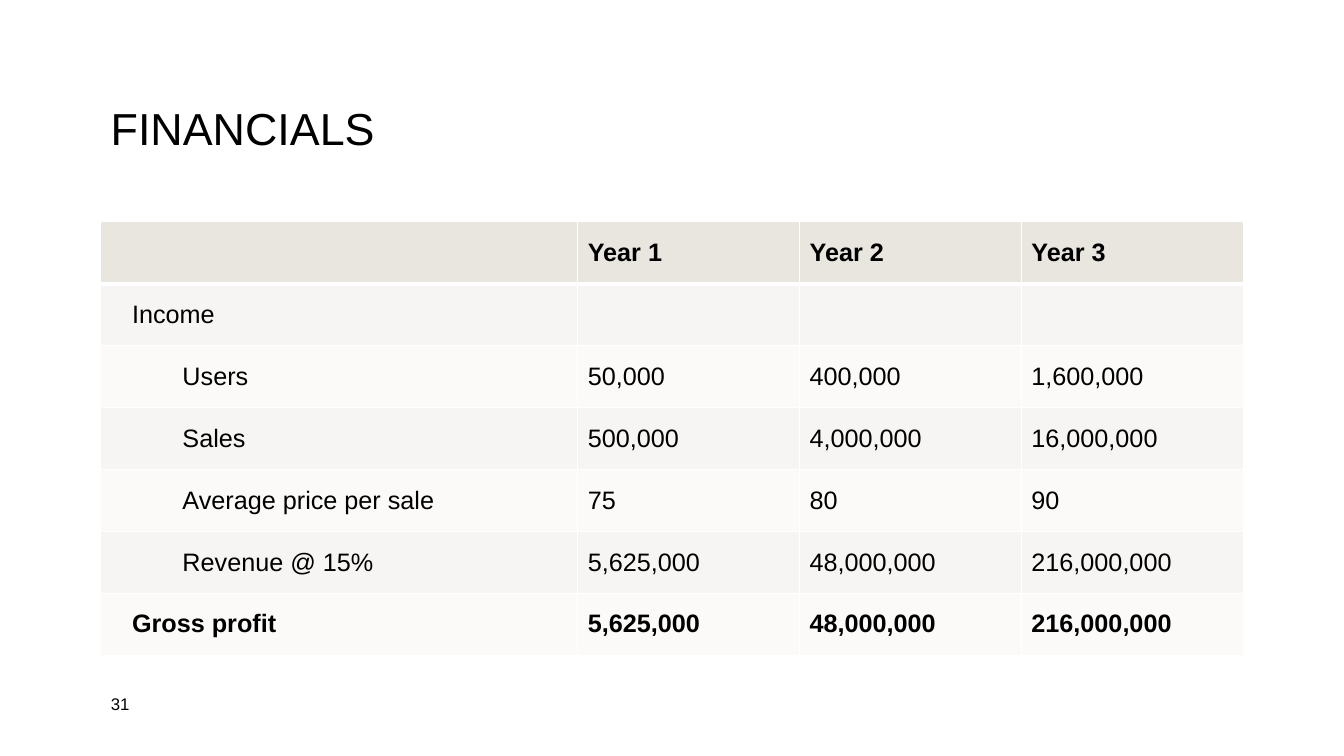
import dataclasses

import lxml.etree
import pptx
import pptx.dml.color
import pptx.enum.text
import pptx.oxml.ns
import pptx.util

WIDE, HIGH = 13.33, 7.5

ROWS = [
    ("", "Year 1", "Year 2", "Year 3"),
    ("Income", "", "", ""),
    ("Users", "50,000", "400,000", "1,600,000"),
    ("Sales", "500,000", "4,000,000", "16,000,000"),
    ("Average price per sale", "75", "80", "90"),
    ("Revenue @ 15%", "5,625,000", "48,000,000", "216,000,000"),
    ("Gross profit", "5,625,000", "48,000,000", "216,000,000"),
]
COLS = (4.73, 2.2, 2.2, 2.2)
NESTED = range(2, 6)


@dataclasses.dataclass(frozen=True)
class Theme:
    font: str = "Arial"
    ink: str = "000000"
    rule: str = "FFFFFF"
    head: str = "E9E6DF"
    bands: tuple = ("FBFAF9", "F7F5F3")
    title: int = 32
    body: int = 18
    small: int = 12
    thin: int = 1
    thick: int = 3


THEME = Theme()


def color(code):
    return pptx.dml.color.RGBColor.from_string(code)


def add_run(para, text, size, bold=False):
    run = para.add_run()
    run.text = text
    run.font.name = THEME.font
    run.font.size = pptx.util.Pt(size)
    run.font.bold = bold
    run.font.color.rgb = color(THEME.ink)


def add_label(slide, text, size, left, top, width, height):
    box = slide.shapes.add_textbox(
        *(pptx.util.Inches(n) for n in (left, top, width, height)))
    frame = box.text_frame
    frame.word_wrap = True
    frame.vertical_anchor = pptx.enum.text.MSO_ANCHOR.MIDDLE
    add_run(frame.paragraphs[0], text, size)
    return frame.paragraphs[0]


def set_edges(cell, widths):
    props = cell._tc.get_or_add_tcPr()
    name = pptx.oxml.ns.qn
    for spot, (side, width) in enumerate(widths.items()):
        line = lxml.etree.Element(name(f"a:ln{side}"), w=str(pptx.util.Pt(width)))
        fill = lxml.etree.SubElement(line, name("a:solidFill"))
        lxml.etree.SubElement(fill, name("a:srgbClr"), val=THEME.rule)
        props.insert(spot, line)


def fill_cell(cell, text, row, col):
    cell.fill.solid()
    cell.fill.fore_color.rgb = color(THEME.bands[row % 2] if row else THEME.head)
    cell.vertical_anchor = pptx.enum.text.MSO_ANCHOR.MIDDLE
    set_edges(cell, {
        "L": THEME.thin,
        "R": THEME.thin,
        "T": THEME.thick if row == 1 else THEME.thin,
        "B": THEME.thick if row == 0 else THEME.thin,
    })
    para = cell.text_frame.paragraphs[0]
    if col == 0 and row:
        cell.margin_left = pptx.util.Inches(0.31)
        if row in NESTED:
            para.level = 1
            props = para._p.get_or_add_pPr()
            props.set("marL", str(pptx.util.Inches(0.5)))
            props.set("indent", "0")
    if text:
        add_run(para, text, THEME.body, row in (0, len(ROWS) - 1))


def add_grid(slide, left, top, height):
    frame = slide.shapes.add_table(
        len(ROWS), len(COLS),
        *(pptx.util.Inches(n) for n in (left, top, sum(COLS), height)))
    table = frame.table
    for col, width in zip(table.columns, COLS):
        col.width = pptx.util.Inches(width)
    for row, texts in enumerate(ROWS):
        table.rows[row].height = pptx.util.Inches(height / len(ROWS))
        for col, text in enumerate(texts):
            fill_cell(table.cell(row, col), text, row, col)


def main():
    deck = pptx.Presentation()
    deck.slide_width = pptx.util.Inches(WIDE)
    deck.slide_height = pptx.util.Inches(HIGH)
    slide = deck.slides.add_slide(deck.slide_layouts[6])
    left = (WIDE - sum(COLS)) / 2
    title = add_label(slide, "FINANCIALS", THEME.title,
                      left, 0.085 * HIGH, sum(COLS), 0.176 * HIGH)
    title.line_spacing = 0.9
    add_grid(slide, left, 2.2, 4.3)
    add_label(slide, "31", THEME.small, left, 0.91 * HIGH, 0.69, 0.32)
    deck.save("out.pptx")


if __name__ == "__main__":
    main()
